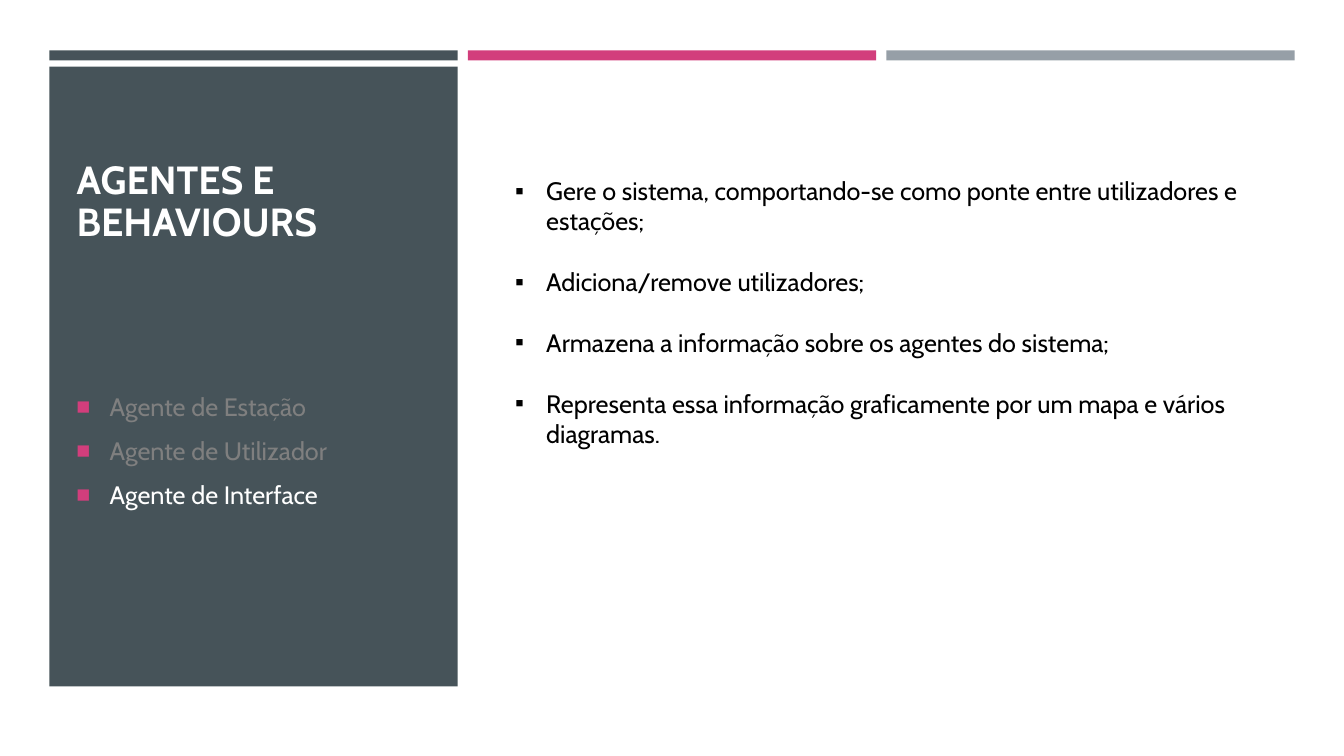
from lxml.etree import SubElement
from pptx import Presentation
from pptx.dml.color import RGBColor
from pptx.enum.shapes import MSO_SHAPE as Shape
from pptx.enum.text import MSO_ANCHOR as Anchor, PP_ALIGN as Align
from pptx.oxml.ns import qn
from pptx.util import Inches, Pt

WHITE = RGBColor(0xFF, 0xFF, 0xFF)
BLACK = RGBColor(0x00, 0x00, 0x00)
SLATE = RGBColor(0x46, 0x53, 0x59)
PINK = RGBColor(0xD2, 0x3E, 0x7C)
SILVER = RGBColor(0x96, 0x9F, 0xA7)
MUTED = RGBColor(0x7F, 0x7F, 0x7F)

FONT = "Cabin"
WIDTH, HEIGHT = 13.33, 7.5

# Three-column grid, in inches
MARGIN, COLUMN, GAP = 0.49, 4.05, 0.1
BAR_TOP, BAR_HEIGHT = 0.5, 0.1
PANEL_TOP, PANEL_HEIGHT = 0.66, 6.15
TEXT_LEFT, TEXT_WIDTH = 0.66, 3.73

AGENTS = [
    ("Agente de Estação", MUTED),
    ("Agente de Utilizador", MUTED),
    ("Agente de Interface", WHITE),
]
DUTIES = [
    ("Gere o sistema, comportando-se como ponte entre utilizadores e estações;", BLACK),
    ("Adiciona/remove utilizadores;", BLACK),
    ("Armazena a informação sobre os agentes do sistema;", BLACK),
    ("Representa essa informação graficamente por um mapa e vários diagramas.", BLACK),
]


def apply(target, formats):
    for name, value in formats.items():
        setattr(target, name, value)


def place(item, left, top, width, height):
    apply(item, {"left": Inches(left), "top": Inches(top),
                 "width": Inches(width), "height": Inches(height)})


def add_block(page, left, top, width, height, color):
    block = page.shapes.add_shape(
        Shape.RECTANGLE, Inches(left), Inches(top), Inches(width), Inches(height))
    block.shadow.inherit = False
    block.fill.solid()
    block.fill.fore_color.rgb = color
    block.line.fill.background()


def add_span(para, text, size, color, bold=False):
    span = para.add_run()
    span.text = text
    apply(span.font, {"name": FONT, "size": Pt(size), "bold": bold})
    span.font.color.rgb = color


def set_bullet(para, char, indent, color, percent):
    props = para._p.get_or_add_pPr()
    props.set("marL", str(Inches(indent)))
    props.set("indent", str(-Inches(indent)))
    SubElement(SubElement(props, qn("a:buClr")), qn("a:srgbClr"), val=str(color))
    SubElement(props, qn("a:buSzPct"), val=str(percent * 1000))
    SubElement(props, qn("a:buFont"), typeface="Arial")
    SubElement(props, qn("a:buChar"), char=char)


def add_list(page, bounds, anchor, items, spacing, bullet):
    box = page.shapes.add_textbox(0, 0, 0, 0)
    place(box, *bounds)
    frame = box.text_frame
    apply(frame, {"word_wrap": True, "vertical_anchor": anchor})
    for index, (text, color) in enumerate(items):
        para = frame.add_paragraph() if index else frame.paragraphs[0]
        apply(para, spacing)
        set_bullet(para, **bullet)
        add_span(para, text, 18, color)


def set_title(page, text):
    title = page.shapes.title
    place(title, TEXT_LEFT, 1.06, TEXT_WIDTH, 1.42)
    apply(title.text_frame, {"word_wrap": True, "vertical_anchor": Anchor.BOTTOM})
    para = title.text_frame.paragraphs[0]
    apply(para, {"alignment": Align.LEFT, "line_spacing": 0.9})
    add_span(para, text, 28, WHITE, bold=True)


def main():
    deck = Presentation()
    apply(deck, {"slide_width": Inches(WIDTH), "slide_height": Inches(HEIGHT)})
    page = deck.slides.add_slide(deck.slide_layouts[5])

    # Background, column bars and side panel
    add_block(page, 0, 0, WIDTH, HEIGHT, WHITE)
    for index, color in enumerate((SLATE, PINK, SILVER)):
        add_block(page, MARGIN + index * (COLUMN + GAP), BAR_TOP, COLUMN, BAR_HEIGHT, color)
    add_block(page, MARGIN, PANEL_TOP, COLUMN, PANEL_HEIGHT, SLATE)

    # Title, raised above the panel
    set_title(page, "AGENTES E BEHAVIOURS")
    page.shapes._spTree.append(page.shapes.title._element)

    # Agents in the panel, duties of the current one beside it
    add_list(page, (TEXT_LEFT, 2.38, TEXT_WIDTH, 4.18), Anchor.MIDDLE, AGENTS,
             {"space_before": Pt(3.6), "space_after": Pt(6)},
             {"char": "■", "indent": 0.33, "color": PINK, "percent": 92})
    add_list(page, (5.01, 1.69, 7.84, 2.83), Anchor.TOP, DUTIES,
             {"space_after": Pt(21.8)},
             {"char": "▪", "indent": 0.31, "color": BLACK, "percent": 100})

    deck.save("out.pptx")


if __name__ == "__main__":
    main()
